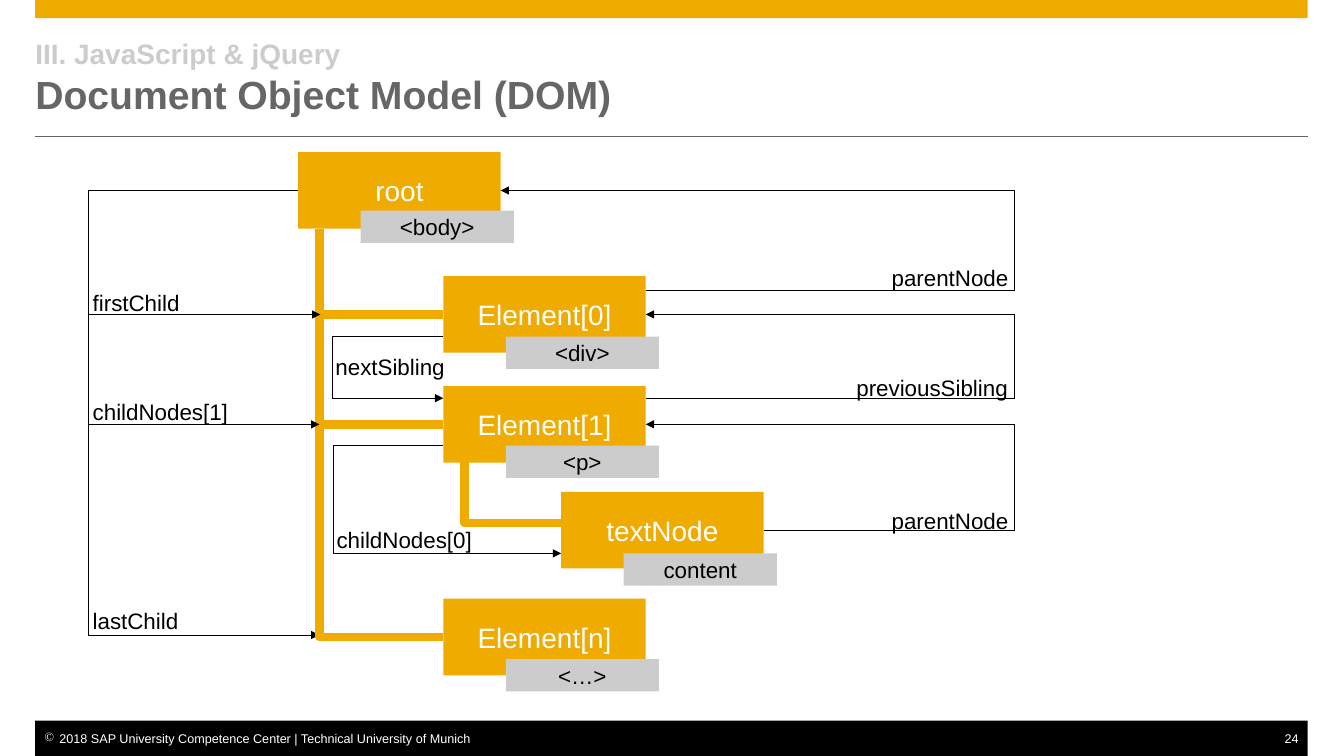
from lxml.etree import SubElement
from pptx import Presentation
from pptx.dml.color import RGBColor
from pptx.enum.shapes import MSO_CONNECTOR, MSO_SHAPE
from pptx.enum.text import MSO_ANCHOR, PP_ALIGN
from pptx.oxml.ns import qn
from pptx.util import Pt

SCALE = 9144  # EMU per px, 100 px to the inch
GOLD, SILVER, GREY, BLACK, WHITE = "F0AB00", "CCCCCC", "666666", "000000", "FFFFFF"
NODE_WIDTH, NODE_HEIGHT = 201, 76


def px(length):
    return round(length * SCALE)


def colour(value):
    return RGBColor.from_string(value)


def set_all(target, values):
    for name, value in values.items():
        setattr(target, name, value)


def add_span(para, text, size, ink, bold=False):
    span = para.add_run()
    span.text = text
    set_all(span.font, {"name": "Arial", "size": Pt(size), "bold": bold})
    span.font.color.rgb = colour(ink)


def format_frame(frame, left=0, right=0, wrap=True, anchor=MSO_ANCHOR.TOP):
    set_all(frame, {"margin_left": px(left), "margin_right": px(right), "margin_top": 0,
                    "margin_bottom": 0, "word_wrap": wrap, "vertical_anchor": anchor})


def add_text(page, box, text, size, ink, align=PP_ALIGN.LEFT, **frame_format):
    shape = page.shapes.add_textbox(*map(px, box))
    format_frame(shape.text_frame, **frame_format)
    para = shape.text_frame.paragraphs[0]
    para.alignment = align
    add_span(para, text, size, ink)
    return para


def add_block(page, box, fill, text="", size=16, ink=BLACK):
    shape = page.shapes.add_shape(MSO_SHAPE.RECTANGLE, *map(px, box))
    shape.shadow.inherit = False
    shape.fill.solid()
    shape.fill.fore_color.rgb = colour(fill)
    shape.line.fill.background()
    if text:
        format_frame(shape.text_frame, 10, 10, anchor=MSO_ANCHOR.MIDDLE)
        para = shape.text_frame.paragraphs[0]
        para.alignment = PP_ALIGN.CENTER
        add_span(para, text, size, ink)


def add_line(page, start, end, bend=None, ink=BLACK, weight=0.5, arrow=False):
    """Straight line, or an elbow whose upright part stands at x = bend."""
    kind = MSO_CONNECTOR.STRAIGHT if bend is None else MSO_CONNECTOR.ELBOW
    line = page.shapes.add_connector(kind, *map(px, start + end))
    line.line.color.rgb = colour(ink)
    line.line.width = Pt(weight)
    properties = line._element.spPr
    if bend is not None:
        share = (bend - start[0]) / (end[0] - start[0])
        values = properties.find(qn("a:prstGeom")).get_or_add_avLst()
        SubElement(values, qn("a:gd"), name="adj1", fmla=f"val {round(share * 100000)}")
    if arrow:
        SubElement(properties.find(qn("a:ln")), qn("a:tailEnd"), type="triangle")
    SubElement(properties, qn("a:effectLst"))


def build_header(page, box):
    left, top, width, _ = box
    add_block(page, (left, top, width, 18), GOLD)
    add_line(page, (left, top + 135), (left + width, top + 135), ink=GREY)
    title = page.shapes.title
    set_all(title, {"left": px(left), "top": px(top + 35), "width": px(width), "height": px(83)})
    format_frame(title.text_frame, anchor=MSO_ANCHOR.MIDDLE)
    para = title.text_frame.paragraphs[0]
    set_all(para, {"alignment": PP_ALIGN.LEFT, "line_spacing": 1.0})
    add_span(para, "III. JavaScript & jQuery", 20, SILVER, True)
    para.add_line_break()
    add_span(para, "Document Object Model (DOM)", 28, GREY, True)


def build_footer(page, box):
    left, top, width, _ = box
    add_block(page, box, BLACK)
    para = add_text(page, (left, top + 10, 438, 15),
                    "2018 SAP University Competence Center | Technical University of Munich",
                    9, WHITE, left=9, wrap=False)
    properties = para._p.get_or_add_pPr()
    set_all_indent = {"marL": px(15), "indent": px(-15)}
    for name, value in set_all_indent.items():
        properties.set(name, str(value))
    SubElement(SubElement(properties, qn("a:buClr")), qn("a:srgbClr"), val=WHITE)
    SubElement(properties, qn("a:buChar"), char="©")
    add_text(page, (left + width - 25, top + 10, 25, 15), "24", 9, WHITE,
             PP_ALIGN.RIGHT, right=9, wrap=False)


def build_tree(page, box):
    left, top, _, _ = box

    def at(x, y):
        return left + x, top + y

    # Nodes: name, place, tag, drop of the tag below the node's top
    nodes = [("root", 208, 0, "<body>", 58), ("Element[0]", 352, 123, "<div>", 60),
             ("Element[1]", 352, 232, "<p>", 59), ("textNode", 469, 337, "content", 61),
             ("Element[n]", 352, 443, "<…>", 60)]
    for name, x, y, _, _ in nodes:
        add_block(page, (*at(x, y), NODE_WIDTH, NODE_HEIGHT), GOLD, name, 20, WHITE)
    for _, x, y, tag, drop in nodes:
        add_block(page, (*at(x + 62, y + drop), 152, 32), SILVER, tag)

    # Links: start, end, x of the bend
    arrows = [((208, 38), (229, 479), 0),          # lastChild
              ((0, 161), (230, 161), None),        # firstChild
              ((0, 270), (229, 270), None),        # childNodes[1]
              ((553, 137), (409, 38), 919),        # parentNode of Element[0]
              ((553, 244), (553, 161), 919),       # previousSibling
              ((670, 375), (553, 270), 919),       # parentNode of textNode
              ((352, 183), (352, 244), 242),       # nextSibling
              ((352, 291), (469, 398), 243)]       # childNodes[0]
    branches = [((229, 76), (352, 481), 229), ((352, 161), (230, 161), None),
                ((352, 270), (229, 270), None), ((469, 368), (373, 301), 373)]
    styles = [(arrows[:1], {"arrow": True}), (branches, {"ink": GOLD, "weight": 6}),
              (arrows[1:], {"arrow": True})]
    for links, style in styles:
        for start, end, bend in links:
            if bend is not None and start[0] == end[0]:
                # Both ends share one x: three straight parts
                add_line(page, at(*start), at(bend, start[1]), **style | {"arrow": False})
                add_line(page, at(bend, start[1]), at(bend, end[1]), **style | {"arrow": False})
                add_line(page, at(bend, end[1]), at(*end), **style)
            else:
                add_line(page, at(*start), at(*end), None if bend is None else left + bend, **style)

    # Link names
    labels = [("parentNode", 797, 111), ("previousSibling", 762, 220), ("parentNode", 797, 352),
              ("firstChild", 4, 136), ("childNodes[1]", 4, 244), ("lastChild", 4, 451),
              ("nextSibling", 245, 199), ("childNodes[0]", 246, 371)]
    for text, x, y in labels:
        add_text(page, (*at(x, y), 151, 24), text, 16, BLACK)


def main():
    deck = Presentation()
    set_all(deck, {"slide_width": px(1334), "slide_height": px(750)})
    page = deck.slides.add_slide(deck.slide_layouts[5])
    build_header(page, (35, 0, 1263, 135))
    build_footer(page, (35, 715, 1263, 35))
    build_tree(page, (88, 151, 920, 535))
    deck.save("out.pptx")


if __name__ == "__main__":
    main()
